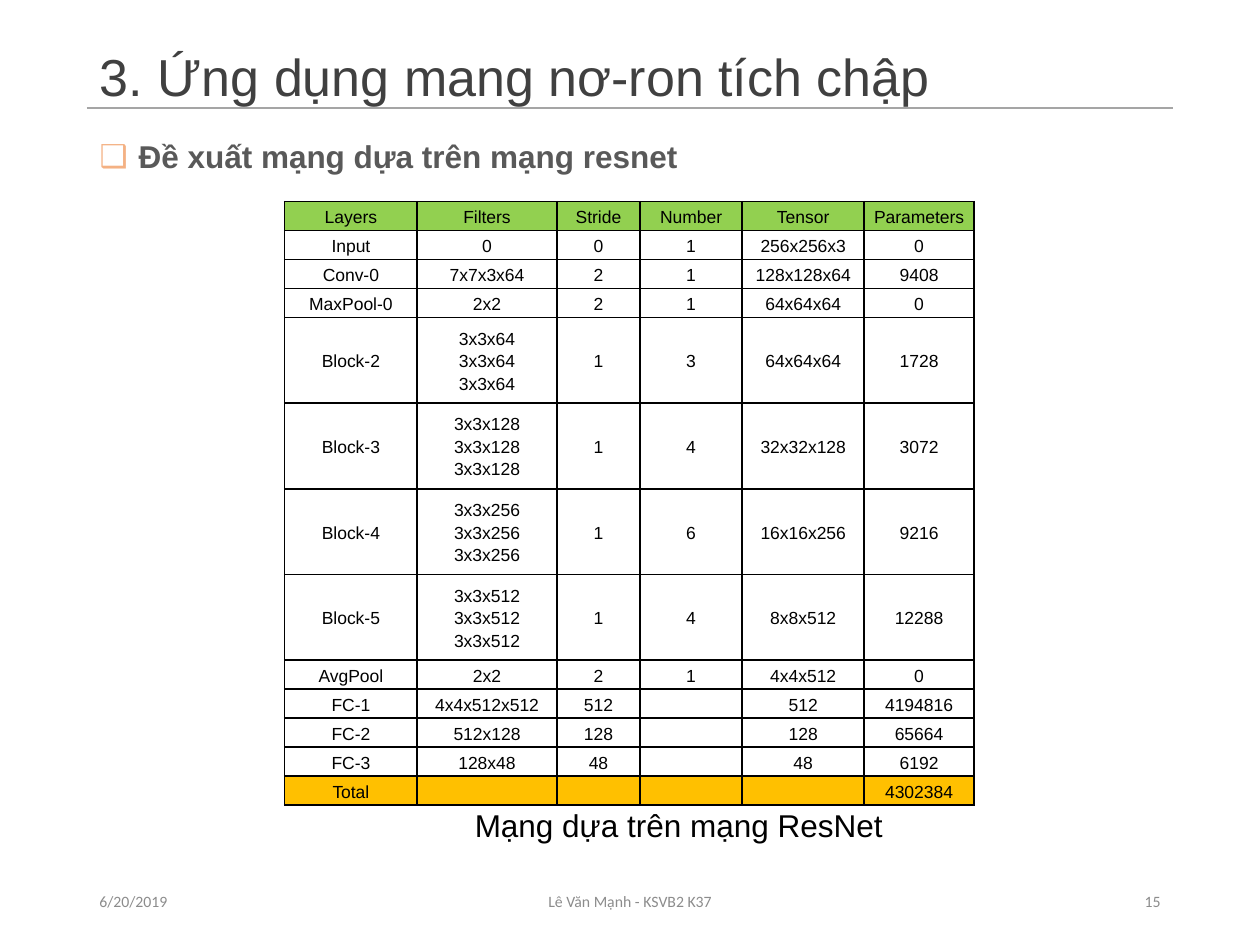
from lxml import etree
from pptx import Presentation
from pptx.dml.color import RGBColor
from pptx.enum.shapes import MSO_CONNECTOR
from pptx.enum.text import MSO_ANCHOR, MSO_AUTO_SIZE, PP_ALIGN
from pptx.oxml.ns import qn
from pptx.util import Inches, Pt

LEFT, MID, RIGHT = PP_ALIGN.LEFT, PP_ALIGN.CENTER, PP_ALIGN.RIGHT
TOP, MIDDLE = MSO_ANCHOR.TOP, MSO_ANCHOR.MIDDLE
FIT, FIXED = MSO_AUTO_SIZE.SHAPE_TO_FIT_TEXT, MSO_AUTO_SIZE.NONE
LINE = MSO_CONNECTOR.STRAIGHT

HUES = {"title": "404040", "rule": "A5A5A5", "foot": "8C8C8C", "lead": "595959",
        "mark": "F4B183", "ink": "000000", "head": "92D050", "total": "FFC000"}

TITLE = "3. Ứng dụng mang nơ-ron tích chập"
LEAD = "Đề xuất mạng dựa trên mạng resnet"
NOTE = "Mạng dựa trên mạng ResNet"
FEET = [("6/20/2019", 0.69, 2.25, LEFT),
        ("Lê Văn Mạnh - KSVB2 K37", 3.31, 3.38, MID),
        ("15", 7.06, 2.25, RIGHT)]
ROWS = [
    ("Layers", "Filters", "Stride", "Number", "Tensor", "Parameters"),
    ("Input", "0", "0", "1", "256x256x3", "0"),
    ("Conv-0", "7x7x3x64", "2", "1", "128x128x64", "9408"),
    ("MaxPool-0", "2x2", "2", "1", "64x64x64", "0"),
    ("Block-2", "3x3x64\n3x3x64\n3x3x64", "1", "3", "64x64x64", "1728"),
    ("Block-3", "3x3x128\n3x3x128\n3x3x128", "1", "4", "32x32x128", "3072"),
    ("Block-4", "3x3x256\n3x3x256\n3x3x256", "1", "6", "16x16x256", "9216"),
    ("Block-5", "3x3x512\n3x3x512\n3x3x512", "1", "4", "8x8x512", "12288"),
    ("AvgPool", "2x2", "2", "1", "4x4x512", "0"),
    ("FC-1", "4x4x512x512", "512", "", "512", "4194816"),
    ("FC-2", "512x128", "128", "", "128", "65664"),
    ("FC-3", "128x48", "48", "", "48", "6192"),
    ("Total", "", "", "", "", "4302384"),
]
WIDTHS = [1.05, 1.11, 0.66, 0.81, 0.97, 0.87]
LOW, TALL = 0.23, 0.68
FILLS = {0: "head", len(ROWS) - 1: "total"}


def rgb(hue):
    """Return the named colour."""
    return RGBColor.from_string(HUES[hue])


def style(item, form):
    """Set each attribute named in a dict."""
    for key, val in form.items():
        setattr(item, key, val)


def write(para, text, size, hue, face="Arial", bold=False, **form):
    """Put formatted text in a paragraph."""
    para.text = text
    style(para, {"space_before": Pt(0), **form})
    for run in para.runs:
        style(run.font, {"size": Pt(size), "name": face, "bold": bold})
        run.font.color.rgb = rgb(hue)
    if not text:
        etree.SubElement(para._p, qn("a:endParaRPr"), sz=str(size * 100))


def place(shape, spot, **form):
    """Move a shape and format its text frame."""
    style(shape, dict(zip(("left", "top", "width", "height"), map(Inches, spot))))
    style(shape.text_frame, form)
    return shape.text_frame.paragraphs[0]


def mark(para):
    """Give a paragraph a hanging square bullet."""
    props = para._p.get_or_add_pPr()
    props.set("marL", str(Inches(0.31)))
    props.set("indent", str(-Inches(0.31)))
    hue = etree.SubElement(props, qn("a:buClr"))
    etree.SubElement(hue, qn("a:srgbClr"), val=HUES["mark"])
    etree.SubElement(props, qn("a:buFont"), typeface="Arial")
    etree.SubElement(props, qn("a:buChar"), char="❑")


def edge(cell):
    """Draw the four borders of a cell."""
    props = cell._tc.get_or_add_tcPr()
    for side in "LRTB":
        line = etree.SubElement(props, qn(f"a:ln{side}"), w=str(Pt(1)))
        fill = etree.SubElement(line, qn("a:solidFill"))
        etree.SubElement(fill, qn("a:srgbClr"), val=HUES["ink"])


def grid(slide):
    """Build the table of layers."""
    highs = [TALL if "\n" in row[1] else LOW for row in ROWS]
    spot = map(Inches, (2.26, 1.6, sum(WIDTHS), sum(highs)))
    table = slide.shapes.add_table(len(ROWS), len(WIDTHS), *spot).table
    style(table, {"first_row": False, "horz_banding": False})
    for col, wide in zip(table.columns, WIDTHS):
        col.width = Inches(wide)
    for r, (row, high) in enumerate(zip(ROWS, highs)):
        table.rows[r].height = Inches(high)
        for c, text in enumerate(row):
            cell = table.cell(r, c)
            style(cell, {"vertical_anchor": MIDDLE, "margin_top": 0, "margin_bottom": 0,
                         "margin_left": Inches(0.07), "margin_right": Inches(0.07)})
            write(cell.text_frame.paragraphs[0], text, 10, "ink",
                  alignment=MID, line_spacing=1.15)
            edge(cell)
            if r in FILLS:
                cell.fill.solid()
                cell.fill.fore_color.rgb = rgb(FILLS[r])
            else:
                cell.fill.background()


def main():
    """Build and save the slide."""
    deck = Presentation()
    style(deck, {"slide_width": Inches(10), "slide_height": Inches(7.5)})
    slide = deck.slides.add_slide(deck.slide_layouts[1])
    shapes = slide.shapes
    title, body = slide.placeholders

    para = place(title, (0.69, 0.4, 8.62, 0.46), vertical_anchor=MIDDLE,
                 word_wrap=True, auto_size=FIXED)
    write(para, TITLE, 29.7, "title", alignment=LEFT, line_spacing=0.9)

    rule = shapes.add_connector(LINE, *map(Inches, (0.69, 0.86, 9.31, 0.86)))
    rule.line.width = Pt(1)
    rule.line.color.rgb = rgb("rule")
    etree.SubElement(rule._element.spPr, qn("a:effectLst"))

    for text, left, wide, side in FEET:
        para = place(shapes.add_textbox(0, 0, 0, 0), (left, 6.95, wide, 0.4),
                     vertical_anchor=MIDDLE, word_wrap=True)
        write(para, text, 9, "foot", "Calibri", alignment=side)

    loose = {"vertical_anchor": TOP, "word_wrap": False, "auto_size": FIT}
    para = place(body, (0.69, 1.04, 4.84, 0.4), **loose)
    write(para, LEAD, 18, "lead", bold=True, alignment=LEFT)
    mark(para)

    grid(slide)
    para = place(shapes.add_textbox(0, 0, 0, 0), (3.67, 6.35, 3.47, 0.4), **loose)
    write(para, NOTE, 18, "ink")
    deck.save("out.pptx")


if __name__ == "__main__":
    main()
